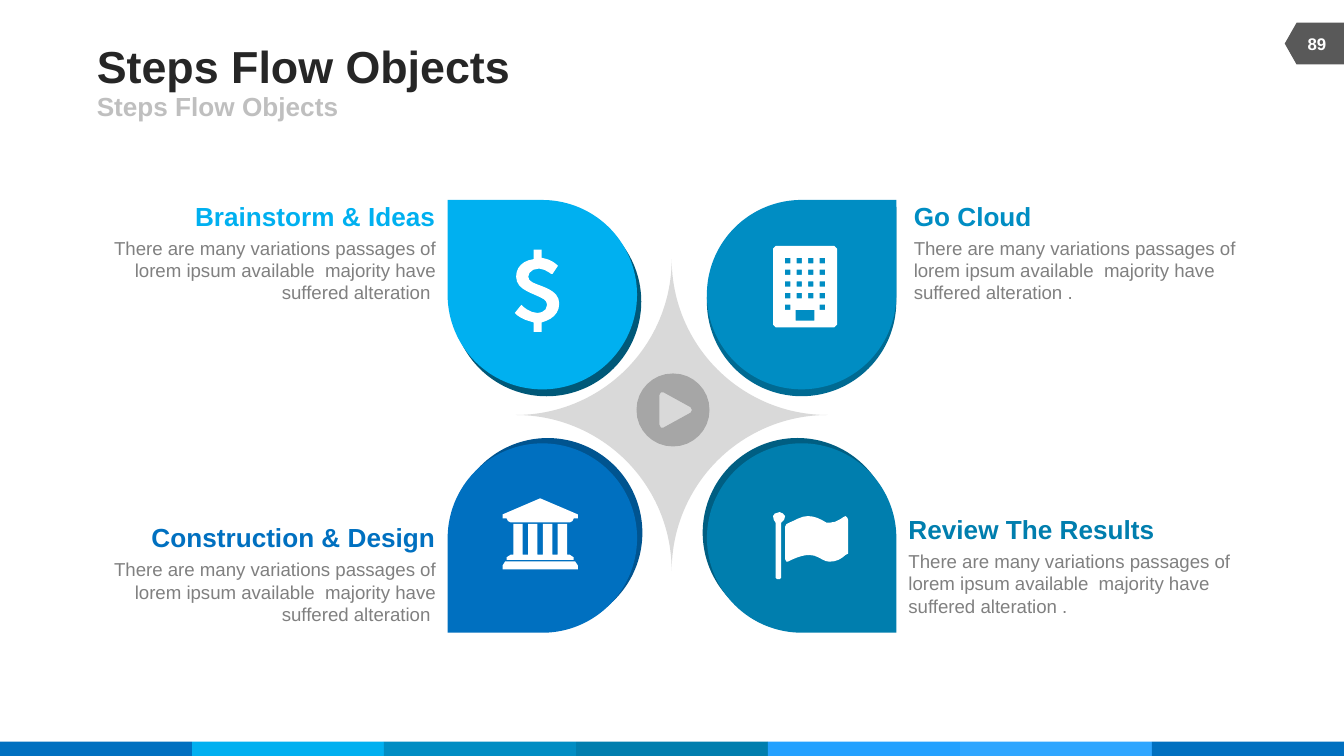
from dataclasses import dataclass

from pptx import Presentation
from pptx.dml.color import RGBColor
from pptx.enum.shapes import MSO_SHAPE
from pptx.enum.text import MSO_ANCHOR, MSO_AUTO_SIZE, PP_ALIGN
from pptx.util import Cm, Pt

COLORS = {
    "blue": "0070C0", "sky": "00B0F0", "azure": "008DC3", "teal": "007EAE",
    "bright": "23A1FF", "light": "2FA6FF",
    "sky_shade": "005878", "azure_shade": "006A92", "blue_shade": "005490", "teal_shade": "005E82",
    "ink": "262626", "tag": "595959", "body": "808080", "button": "A6A6A6",
    "subtitle": "BFBFBF", "star": "D9D9D9", "white": "FFFFFF",
}
FONT = "Arial"
PASSAGE = "There are many variations passages of lorem ipsum available  majority have suffered alteration "


@dataclass
class Box:
    """A rectangle in centimetres."""
    left: float
    top: float
    width: float
    height: float

    def inner(self, dx, dy, width, height):
        """Return a box placed relative to this one's corner."""
        return Box(self.left + dx, self.top + dy, width, height)

    def lengths(self):
        """Return the rectangle as four lengths."""
        return Cm(self.left), Cm(self.top), Cm(self.width), Cm(self.height)


def paint(shape, color):
    """Give a shape a plain fill without line or shadow."""
    shape.shadow.inherit = False
    shape.fill.solid()
    shape.fill.fore_color.rgb = RGBColor.from_string(COLORS[color])
    shape.line.fill.background()


def add_preset(page, box, kind, color, rotation=0):
    """Add a plain preset shape."""
    shape = page.shapes.add_shape(kind, *box.lengths())
    paint(shape, color)
    shape.rotation = rotation
    return shape


def add_text(page, box, text, size, color, bold=True, align=PP_ALIGN.LEFT,
             anchor=MSO_ANCHOR.TOP, wrap=False, grow=False):
    """Add a text box with one styled run and no insets."""
    frame = page.shapes.add_textbox(*box.lengths()).text_frame
    frame.margin_left = frame.margin_top = frame.margin_right = frame.margin_bottom = 0
    frame.word_wrap = wrap
    frame.vertical_anchor = anchor
    frame.auto_size = MSO_AUTO_SIZE.SHAPE_TO_FIT_TEXT if grow else MSO_AUTO_SIZE.NONE
    para = frame.paragraphs[0]
    para.alignment = align
    span = para.add_run()
    span.text = text
    span.font.name, span.font.size, span.font.bold = FONT, Pt(size), bold
    span.font.color.rgb = RGBColor.from_string(COLORS[color])


def flatten(contour):
    """Turn corners (x, y) and cubic curves (six numbers) into points."""
    points = []
    for part in contour:
        if len(part) == 2:
            points.append(part)
            continue
        nodes = [points[-1], part[:2], part[2:4], part[4:]]
        reach = abs(part[4] - nodes[0][0]) + abs(part[5] - nodes[0][1])
        steps = min(8, 1 + int(reach / 5))
        for step in range(1, steps + 1):
            t = step / steps
            weights = ((1 - t) ** 3, 3 * t * (1 - t) ** 2, 3 * t * t * (1 - t), t ** 3)
            points.append(tuple(sum(w * node[axis] for w, node in zip(weights, nodes))
                                for axis in (0, 1)))
    return points


def block(x, y, width, height):
    """Return the contour of a rectangle."""
    return [(x, y), (x + width, y), (x + width, y + height), (x, y + height)]


def add_icon(page, box, columns, contours, color="white"):
    """Draw contours from a grid with the given columns, scaled to the box."""
    unit = Cm(box.width) / columns
    builder = None
    for contour in contours:
        start, *rest = [(x * unit, y * unit) for x, y in flatten(contour)]
        if builder is None:
            builder = page.shapes.build_freeform(*start, scale=1.0)
        else:
            builder.move_to(*start)
        builder.add_line_segments(rest, close=True)
    paint(builder.convert_to_shape(Cm(box.left), Cm(box.top)), color)


DOLLAR = [[
    (20, 54), (20, 61), (14, 61), (14, 54), (5, 52, 1, 48, 1, 48), (0, 47), (4, 42), (5, 41),
    (6, 42), (6, 42, 11, 47, 17, 47), (20, 47, 24, 45, 24, 41), (24, 37, 20, 36, 16, 34),
    (9, 31, 1, 28, 1, 20), (1, 13, 6, 8, 14, 7), (14, 0), (20, 0), (20, 6),
    (27, 7, 31, 11, 31, 11), (32, 12), (28, 18), (27, 18), (27, 18, 22, 14, 18, 14),
    (13, 14, 10, 17, 10, 20), (10, 24, 15, 25, 20, 27), (25, 29, 33, 32, 33, 40),
    (33, 48, 27, 52, 20, 54),
]]
BUILDING = [
    [(2, 0), (46, 0), (48, 2), (48, 59), (46, 61), (2, 61), (0, 59), (0, 2)],
    block(17, 48, 14, 8),
] + [
    block(9 + 8.67 * column, 9 + 8.75 * row, 4, 4)
    for row in range(5) for column in range(4) if row < 4 or column in (0, 3)
]
PILLARS = [point for x in (8, 19, 30, 41)
           for point in ((x, 42), (x, 19), (x + 7, 19), (x + 7, 42))]
BANK = [
    [(0, 12), (28, 0), (56, 12), (56, 15), (53, 15), (52, 17), (50, 18), (6, 18),
     (4, 17), (3, 15), (0, 15)],
    [(6, 42), *PILLARS, (50, 42), (53, 44), (53, 46), (3, 46), (3, 44)],
    [(56, 50), (56, 53), (0, 53), (0, 50), (2, 47), (54, 47)],
]
FLAG = [
    [(6, 8), (6, 49), (5, 50), (3, 50), (2, 49), (2, 8), (1, 7, 0, 5, 0, 3), (0, 2, 2, 0, 5, 0),
     (6, 0, 9, 2, 9, 3), (9, 5, 8, 7, 6, 8)],
    [(56, 31), (54, 32), (51, 35, 47, 37, 42, 37), (37, 37, 34, 32, 27, 32),
     (22, 32, 17, 34, 11, 37), (10, 37), (9, 35), (9, 11), (10, 9), (12, 8),
     (17, 6, 21, 3, 26, 3), (31, 3, 35, 5, 40, 8), (42, 8), (48, 8, 53, 3, 54, 3),
     (55, 3, 56, 5, 56, 6)],
]
PLAY = [
    [(54, 27), (54, 42, 42, 54, 27, 54), (12, 54, 0, 42, 0, 27), (0, 12, 12, 0, 27, 0),
     (42, 0, 54, 12, 54, 27)],
    [(41, 27), (40, 25), (20, 14), (18, 14), (17, 16), (17, 38), (18, 40), (20, 40), (40, 29)],
]


def add_header(page, box):
    """Place the title with the subtitle below it."""
    add_text(page, box.inner(0, 0, box.width, 0.99), "Steps Flow Objects", 24, "ink",
             anchor=MSO_ANCHOR.MIDDLE)
    add_text(page, box.inner(0, 0.99, 11.43, 0.56), "Steps Flow Objects", 14, "subtitle",
             anchor=MSO_ANCHOR.MIDDLE)


def add_page_tag(page, box):
    """Place the page number on its arrow tag."""
    middle = (box.width - box.height) / 2
    add_preset(page, box.inner(middle, -middle, box.height, box.width),
               MSO_SHAPE.FLOWCHART_OFFPAGE_CONNECTOR, "tag", 90)
    add_text(page, box.inner(0.1, 0, 1.02, box.height), "89", 9, "white",
             align=PP_ALIGN.CENTER, anchor=MSO_ANCHOR.MIDDLE, wrap=True)


def add_footer(page, box):
    """Fill the box with a strip of equal coloured segments."""
    names = ("blue", "sky", "azure", "teal", "bright", "light", "blue")
    width = box.width / len(names)
    for index, name in enumerate(names):
        add_preset(page, box.inner(index * width, 0, width, box.height), MSO_SHAPE.RECTANGLE, name)


def add_star(page, box):
    """Place the four-pointed star with a play button."""
    star = add_preset(page, box, MSO_SHAPE.PLAQUE, "star")
    star.adjustments[0] = 0.5
    add_icon(page, box.inner(2.28, 2.16, 1.38, 1.38), 54, PLAY, "button")


def add_petal(page, box, color, rotation, shade, icon):
    """Place a teardrop over its shade with an icon on top."""
    add_preset(page, box.inner(*shade, box.width, box.height), MSO_SHAPE.TEAR,
               f"{color}_shade", rotation)
    add_preset(page, box, MSO_SHAPE.TEAR, color, rotation)
    dx, dy, width, columns, contours = icon
    add_icon(page, box.inner(dx, dy, width, width), columns, contours)


def add_caption(page, box, heading, heading_width, color, on_left):
    """Place a heading and passage, aligned towards the petals."""
    align = PP_ALIGN.RIGHT if on_left else PP_ALIGN.LEFT
    indent = box.width - heading_width if on_left else 0
    add_text(page, box.inner(indent, 0, heading_width, 0.6), heading, 14, color,
             align=align, grow=True)
    add_text(page, box.inner(0, 0.69, box.width, 1.27), PASSAGE if on_left else PASSAGE + ".",
             10, "body", bold=False, align=align, wrap=True, grow=True)


def main():
    """Build and save the slide."""
    deck = Presentation()
    deck.slide_width, deck.slide_height = Cm(25.4), Cm(14.29)
    page = deck.slides.add_slide(deck.slide_layouts[6])
    add_footer(page, Box(0, 14.02, 25.4, 0.27))
    add_page_tag(page, Box(24.28, 0.43, 1.12, 0.79))
    add_header(page, Box(1.83, 0.74, 15.67, 1.55))
    add_star(page, Box(9.75, 4.9, 5.89, 5.89))
    left, right, upper, lower, size = 8.46, 13.36, 3.78, 8.38, 3.58
    petals = [
        (left, upper, "sky", 270, (0.08, 0.13), (1.27, 0.94, 0.84, 33, DOLLAR)),
        (right, upper, "azure", 0, (0, 0.13), (1.25, 0.87, 1.21, 48, BUILDING)),
        (left, lower, "blue", 180, (0.1, -0.1), (1.04, 1.04, 1.42, 56, BANK)),
        (right, lower, "teal", 90, (-0.08, -0.1), (1.25, 1.3, 1.42, 56, FLAG)),
    ]
    for x, y, *style in petals:
        add_petal(page, Box(x, y, size, size), *style)
    captions = [
        (1.91, 3.78, "Brainstorm & Ideas", 4.57, "sky", True),
        (17.27, 3.78, "Go Cloud", 2.24, "azure", False),
        (1.91, 9.86, "Construction & Design", 5.38, "blue", True),
        (17.17, 9.7, "Review The Results", 4.67, "teal", False),
    ]
    for x, y, *content in captions:
        add_caption(page, Box(x, y, 6.32, 1.96), *content)
    deck.save("out.pptx")


if __name__ == "__main__":
    main()
